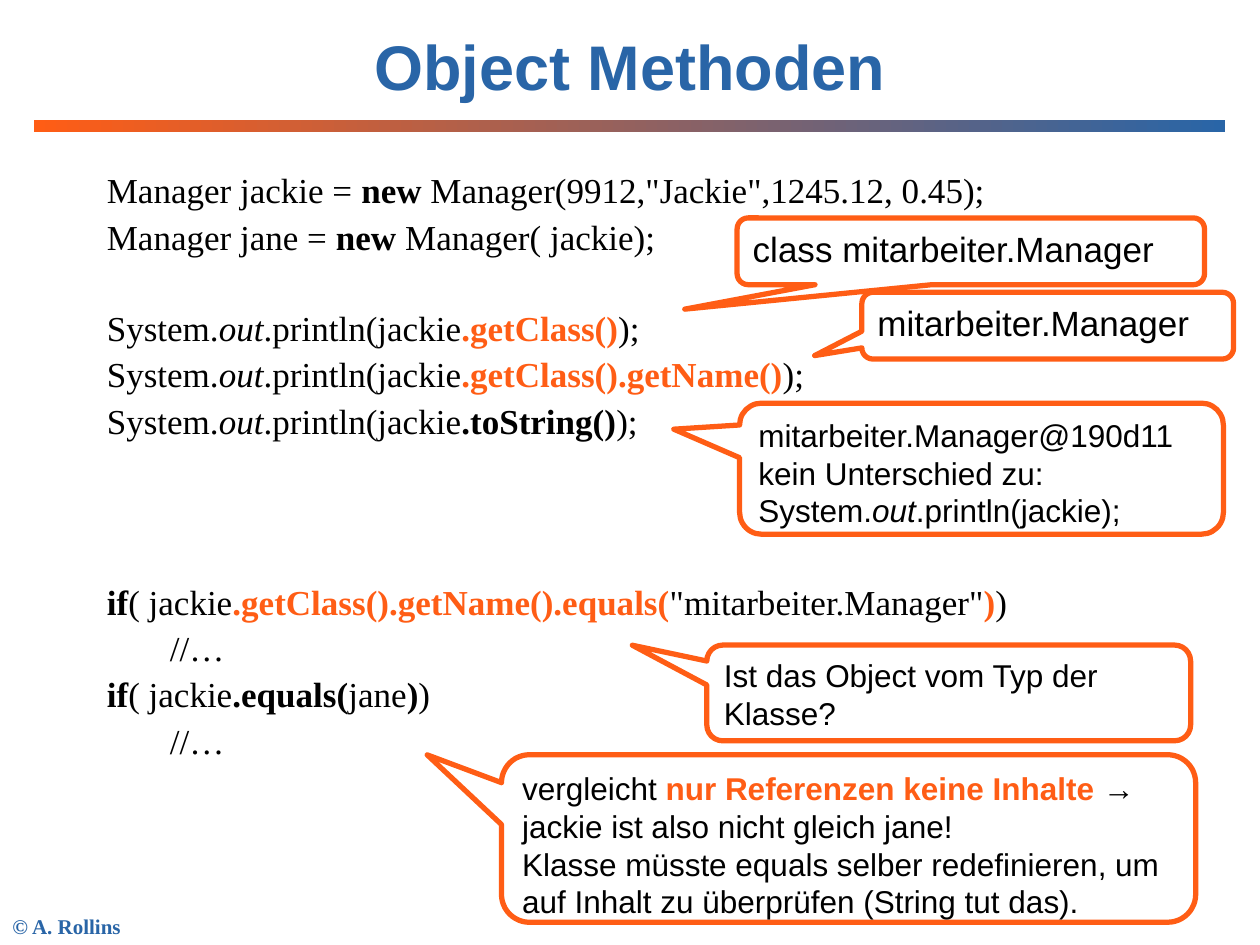
from pptx import Presentation
from pptx.dml.color import RGBColor
from pptx.enum.shapes import MSO_SHAPE
from pptx.enum.text import MSO_ANCHOR, PP_ALIGN
from pptx.util import Inches, Pt

RECTANGLE, CALLOUT = MSO_SHAPE.RECTANGLE, MSO_SHAPE.ROUNDED_RECTANGULAR_CALLOUT
TOP, MIDDLE = MSO_ANCHOR.TOP, MSO_ANCHOR.MIDDLE
LEFT, CENTER = PP_ALIGN.LEFT, PP_ALIGN.CENTER

ORANGE, BLUE, BLACK, WHITE = "FF5D15", "2965A7", "000000", "FFFFFF"
SANS, SERIF = "Arial", "Times New Roman"

# Text pieces are (text, style); styles: "" plain, "b" bold, "i" italic,
# "hot" bold orange.
PRINT = [("System.", ""), ("out", "i"), (".println(jackie", "")]
COMMENT = [("\t//…", "")]

# (blank lines above, pieces)
CODE = [
    (0, [("Manager jackie = ", ""), ("new", "b"),
         (' Manager(9912,"Jackie",1245.12, 0.45);', "")]),
    (0, [("Manager jane = ", ""), ("new", "b"), (" Manager( jackie);", "")]),
    (1, PRINT + [(".getClass()", "hot"), (");", "")]),
    (0, PRINT + [(".getClass().getName()", "hot"), (");", "")]),
    (0, PRINT + [(".toString()", "b"), (");", "")]),
    (3, [("if", "b"), ("( jackie", ""),
         (".getClass().getName().equals(", "hot"),
         ('"mitarbeiter.Manager"', ""), (")", "hot"), (")", "")]),
    (0, COMMENT),
    (0, [("if", "b"), ("( jackie", ""), (".equals(", "b"), ("jane", ""),
         (")", "b"), (")", "")]),
    (0, COMMENT),
]
CODE_GAP, CODE_PITCH = 4.9, 25.6  # points

# (left, top, width, height), pointer offset from centre, size, pieces
CALLOUTS = [
    ((5.87, 3.2, 3.84, 1.04), (-0.636, -0.301), 18,
     [("mitarbeiter.Manager@190d11\nkein Unterschied zu: System.", ""),
      ("out", "i"), (".println(jackie);", "")]),
    ((5.85, 1.73, 3.71, 0.53), (-0.612, 0.867), 20,
     [("class mitarbeiter.Manager", "")]),
    ((6.84, 2.32, 2.95, 0.53), (-0.627, 0.448), 20,
     [("mitarbeiter.Manager", "")]),
    ((5.61, 5.12, 3.84, 0.76), (-0.654, -0.498), 18,
     [("Ist das Object vom Typ der Klasse?", "")]),
    ((3.98, 5.99, 5.51, 1.33), (-0.607, -0.499), 18,
     [("vergleicht ", ""), ("nur Referenzen keine Inhalte ", "hot"),
      ("→ jackie ist also nicht gleich jane!\nKlasse müsste equals selber "
       "redefinieren, um auf Inhalt zu überprüfen (String tut das).", "")]),
]


def rgb(value):
    return RGBColor.from_string(value)


def write(paragraph, pieces, font, size, color=BLACK, bold=False, align=LEFT):
    paragraph.alignment = align
    paragraph.font.name = font
    paragraph.font.size = Pt(size)
    paragraph.font.bold = bold
    paragraph.font.color.rgb = rgb(color)
    for text, style in pieces:
        for number, line in enumerate(text.split("\n")):
            if number:
                paragraph.add_line_break()
            run = paragraph.add_run()
            run.text = line
            if style in ("b", "hot"):
                run.font.bold = True
            if style == "i":
                run.font.italic = True
            if style == "hot":
                run.font.color.rgb = rgb(ORANGE)


def add_text_frame(slide, box, anchor=TOP):
    frame = slide.shapes.add_textbox(*map(Inches, box)).text_frame
    frame.word_wrap = True
    frame.vertical_anchor = anchor
    return frame


def add_rule(slide):
    rule = slide.shapes.add_shape(RECTANGLE, *map(Inches, (0.27, 0.95, 9.45, 0.1)))
    rule.shadow.inherit = False
    rule.line.fill.background()
    rule.fill.gradient()
    rule.fill.gradient_angle = 0
    for stop, color in zip(rule.fill.gradient_stops, (ORANGE, BLUE)):
        stop.color.rgb = rgb(color)


def add_code(slide):
    frame = add_text_frame(slide, (0.75, 1.33, 8.5, 5.8))
    for number, (blank_lines, pieces) in enumerate(CODE):
        paragraph = frame.add_paragraph() if number else frame.paragraphs[0]
        paragraph.line_spacing = 0.9
        if number:
            paragraph.space_before = Pt(CODE_GAP + blank_lines * CODE_PITCH)
        write(paragraph, pieces, SERIF, 20)


def add_callout(slide, box, pointer, size, pieces):
    callout = slide.shapes.add_shape(CALLOUT, *map(Inches, box))
    callout.shadow.inherit = False
    for index, value in enumerate((*pointer, 0.167)):
        callout.adjustments[index] = value
    callout.fill.solid()
    callout.fill.fore_color.rgb = rgb(WHITE)
    callout.line.color.rgb = rgb(ORANGE)
    callout.line.width = Pt(3)
    frame = callout.text_frame
    frame.word_wrap = True
    frame.vertical_anchor = TOP
    write(frame.paragraphs[0], pieces, SANS, size)


def main():
    deck = Presentation()
    deck.slide_width, deck.slide_height = Inches(10), Inches(7.5)
    slide = deck.slides.add_slide(deck.slide_layouts[6])

    footer = add_text_frame(slide, (0, 7.2, 1.46, 0.3))
    write(footer.paragraphs[0], [("© A. Rollins", "")], SERIF, 12, BLUE, True)
    add_rule(slide)
    title = add_text_frame(slide, (0.75, 0, 8.5, 1.03), MIDDLE)
    write(title.paragraphs[0], [("Object Methoden", "")], SANS, 36, BLUE, True, CENTER)
    add_code(slide)
    for callout in CALLOUTS:
        add_callout(slide, *callout)
    deck.save("out.pptx")


if __name__ == "__main__":
    main()
